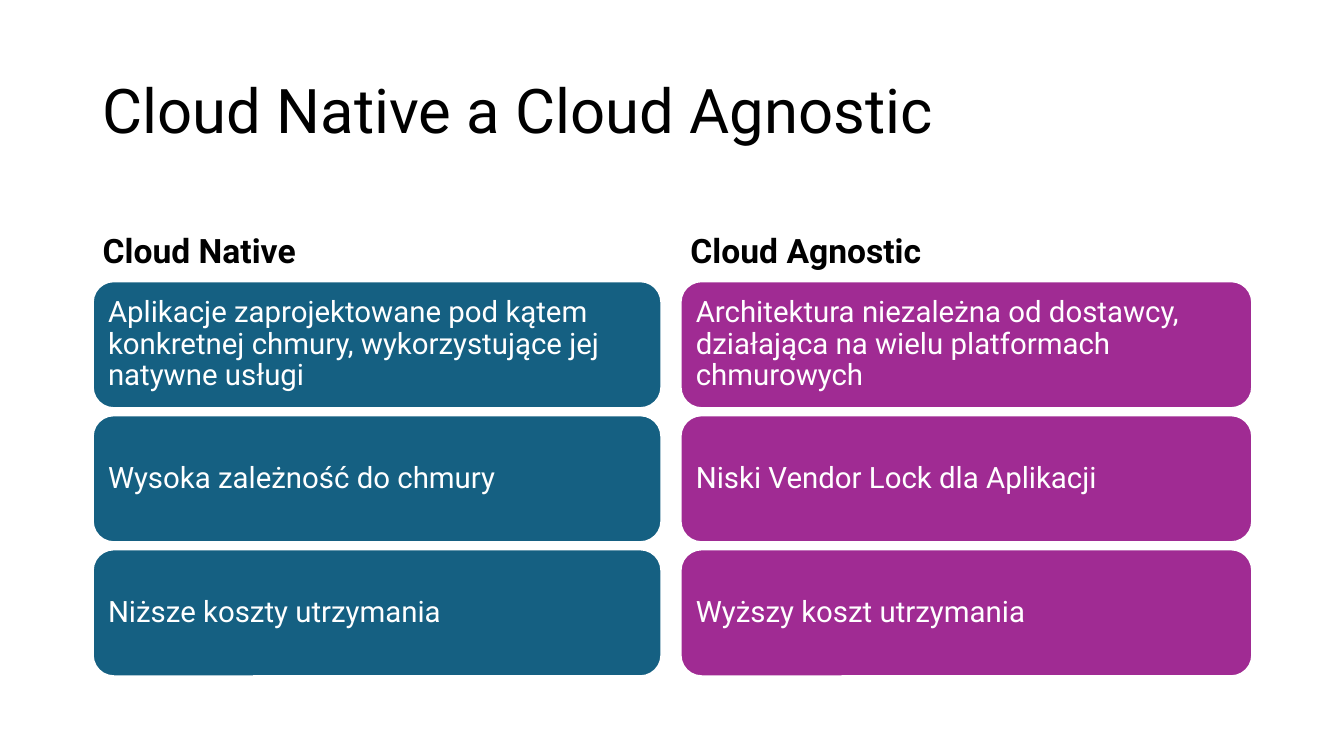
from pptx import Presentation
from pptx.dml.color import RGBColor
from pptx.enum.shapes import MSO_SHAPE
from pptx.enum.text import MSO_ANCHOR, PP_ALIGN
from pptx.util import Inches, Pt

ROUNDED = MSO_SHAPE.ROUNDED_RECTANGLE
MIDDLE = MSO_ANCHOR.MIDDLE
BOTTOM = MSO_ANCHOR.BOTTOM
LEFT = PP_ALIGN.LEFT

FONT = "Roboto"
COLORS = {"black": "000000", "white": "FFFFFF", "blue": "156082", "purple": "A02B93"}

HEADING_TOP = 1.84
HEADING_HEIGHT = 0.9
CARD_TOP = 2.79
CARD_HEIGHT = 1.26
CARD_STEP = 1.33

COLUMNS = [
    {
        "heading": "Cloud Native",
        "left": 0.92,
        "width": 5.64,
        "color": "blue",
        "cards": [
            "Aplikacje zaprojektowane pod kątem konkretnej chmury, wykorzystujące jej natywne usługi",
            "Wysoka zależność do chmury",
            "Niższe koszty utrzymania",
        ],
    },
    {
        "heading": "Cloud Agnostic",
        "left": 6.75,
        "width": 5.67,
        "color": "purple",
        "cards": [
            "Architektura niezależna od dostawcy, działająca na wielu platformach chmurowych",
            "Niski Vendor Lock dla Aplikacji",
            "Wyższy koszt utrzymania",
        ],
    },
]


def rgb(name):
    return RGBColor.from_string(COLORS[name])


def write_text(frame, text, size, color="black", bold=False, anchor=MIDDLE):
    frame.word_wrap = True
    frame.vertical_anchor = anchor
    para = frame.paragraphs[0]
    para.alignment = LEFT
    para.line_spacing = 0.9
    span = para.add_run()
    span.text = text
    span.font.name = FONT
    span.font.size = Pt(size)
    span.font.bold = bold
    span.font.color.rgb = rgb(color)


def add_label(page, left, top, width, height, text, **text_format):
    box = page.shapes.add_textbox(
        Inches(left), Inches(top), Inches(width), Inches(height)
    )
    write_text(box.text_frame, text, **text_format)


def add_card(page, left, top, width, text, color):
    card = page.shapes.add_shape(
        ROUNDED, Inches(left), Inches(top), Inches(width), Inches(CARD_HEIGHT)
    )
    card.shadow.inherit = False
    card.fill.solid()
    card.fill.fore_color.rgb = rgb(color)
    card.line.color.rgb = rgb("white")
    card.line.width = Pt(1.5)
    frame = card.text_frame
    frame.margin_left = frame.margin_right = Inches(0.09)
    frame.margin_top = frame.margin_bottom = Inches(0.09)
    write_text(frame, text, size=21, color="white")


def add_column(page, heading, left, width, color, cards):
    add_label(page, left, HEADING_TOP, width, HEADING_HEIGHT, heading,
              size=24, bold=True, anchor=BOTTOM)
    for row, text in enumerate(cards):
        add_card(page, left, CARD_TOP + row * CARD_STEP, width, text, color)


def main():
    deck = Presentation()
    deck.slide_width = Inches(13.33)
    deck.slide_height = Inches(7.5)
    page = deck.slides.add_slide(deck.slide_layouts[6])
    add_label(page, 0.92, 0.4, 11.5, 1.45, "Cloud Native a Cloud Agnostic", size=44)
    for column in COLUMNS:
        add_column(page, **column)
    deck.save("out.pptx")


if __name__ == "__main__":
    main()
